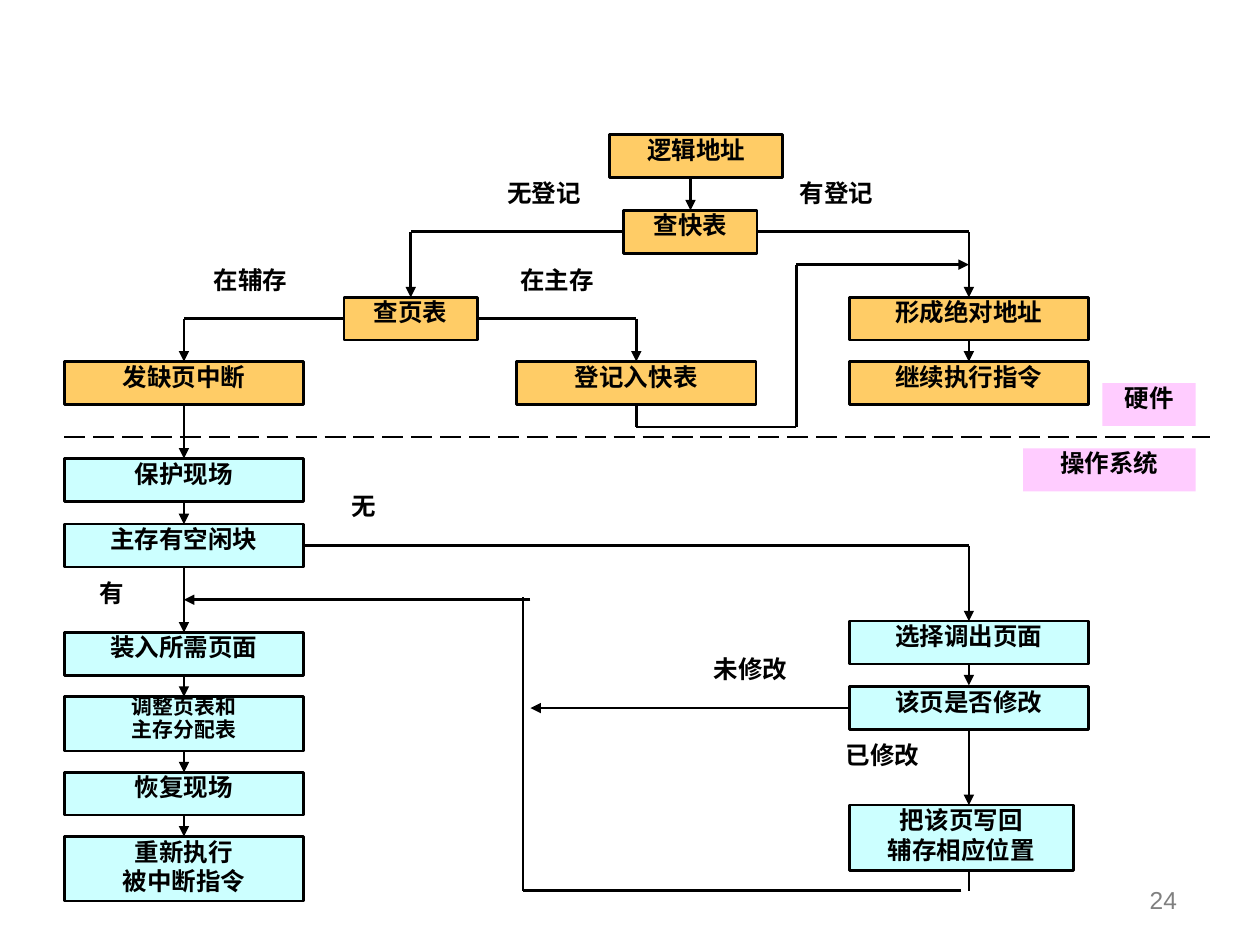
from itertools import pairwise
from pptx import Presentation
from pptx.dml.color import RGBColor
from pptx.enum.dml import MSO_LINE
from pptx.enum.shapes import MSO_CONNECTOR, MSO_SHAPE
from pptx.enum.text import MSO_ANCHOR, PP_ALIGN
from pptx.oxml.ns import qn
from pptx.util import Inches, Pt
from lxml.etree import SubElement

COLORS = {"hardware": "FFCC66", "system": "CCFFFF", "tag": "FFCCFF",
          "ink": "000000", "number": "808080"}
CJK = "Noto Sans CJK SC"
ROW = 0.34       # height of a one-line box
WIDE = 1.9       # width of a standard box
LEFT, MIDDLE, RIGHT = 0.51, 4.1, 6.74       # left edges of the box columns
LEFT_AXIS, PAGE_AXIS, LOAD_AXIS = 1.46, 3.26, 5.05
LOOKUP_AXIS, RIGHT_AXIS = 5.48, 7.69
RETURN_X, RETURN_Y = 4.15, 7.07             # path back to loading the page

# Boxes: lines of text, kind, left, top, width, height
BOXES = [
    (["逻辑地址"], "hardware", 4.84, 1.07, 1.37, ROW),
    (["查快表"], "hardware", 4.95, 1.67, 1.06, ROW),
    (["查页表"], "hardware", 2.73, 2.36, 1.06, ROW),
    (["形成绝对地址"], "hardware", RIGHT, 2.36, WIDE, ROW),
    (["发缺页中断"], "hardware", LEFT, 2.87, WIDE, ROW),
    (["登记入快表"], "hardware", MIDDLE, 2.87, WIDE, ROW),
    (["继续执行指令"], "hardware", RIGHT, 2.87, WIDE, ROW),
    (["保护现场"], "system", LEFT, 3.64, WIDE, ROW),
    (["主存有空闲块"], "system", LEFT, 4.16, WIDE, ROW),
    (["装入所需页面"], "system", LEFT, 5.02, WIDE, ROW),
    (["调整页表和", "主存分配表"], "system", LEFT, 5.53, WIDE, 0.43),
    (["恢复现场"], "system", LEFT, 6.13, WIDE, ROW),
    (["重新执行", "被中断指令"], "system", LEFT, 6.64, WIDE, 0.51),
    (["选择调出页面"], "system", RIGHT, 4.93, WIDE, ROW),
    (["该页是否修改"], "system", RIGHT, 5.45, WIDE, ROW),
    (["把该页写回", "辅存相应位置"], "system", RIGHT, 6.39, 1.78, 0.52),
    (["硬件"], "tag", 8.75, 3.04, 0.74, ROW),
    (["操作系统"], "tag", 8.12, 3.56, 1.37, ROW),
]
TIGHT_TEXT = "调整页表和"   # this box has smaller, closer lines

# Branch labels: text, left, top, width
LABELS = [
    ("无登记", 3.79, 1.41, 1.06), ("有登记", 6.11, 1.41, 1.06),
    ("在辅存", 1.46, 2.1, 1.06), ("在主存", 3.89, 2.1, 1.06),
    ("无", 2.62, 3.9, 0.53), ("有", 0.62, 4.59, 0.53),
    ("未修改", 5.48, 5.19, 0.95), ("已修改", 6.53, 5.87, 0.95),
]

# Straight arrows down one axis: x, then (from, to) heights
DROPS = [
    (LOOKUP_AXIS, [(1.41, 1.67)]),
    (LEFT_AXIS, [(3.21, 3.64), (3.99, 4.16), (4.5, 5.02), (5.36, 5.53),
                 (5.96, 6.13), (6.47, 6.64)]),
    (RIGHT_AXIS, [(2.7, 2.87), (5.27, 5.44), (5.79, 6.39)]),
]

# Bent routes that end in an arrow
ROUTES = [
    [(4.95, 1.84), (PAGE_AXIS, 1.84), (PAGE_AXIS, 2.36)],
    [(6, 1.84), (RIGHT_AXIS, 1.84), (RIGHT_AXIS, 2.36)],
    [(2.73, 2.53), (LEFT_AXIS, 2.53), (LEFT_AXIS, 2.87)],
    [(3.79, 2.53), (LOAD_AXIS, 2.53), (LOAD_AXIS, 2.87)],
    [(LOAD_AXIS, 3.21), (LOAD_AXIS, 3.39), (6.32, 3.39), (6.32, 2.1),
     (RIGHT_AXIS, 2.1)],
    [(2.41, 4.33), (RIGHT_AXIS, 4.33), (RIGHT_AXIS, 4.93)],
    [(RIGHT, 5.62), (4.21, 5.62)],
    [(4.21, 4.76), (LEFT_AXIS, 4.76)],
]

# Plain lines of the return path
PLAIN_LINES = [
    ((RIGHT_AXIS, 6.9), (RIGHT_AXIS, RETURN_Y)),
    ((7.63, RETURN_Y), (RETURN_X, RETURN_Y)),
    ((RETURN_X, 4.74), (RETURN_X, RETURN_Y)),
]


def color(name):
    return RGBColor.from_string(COLORS[name])


def write(shape, lines, size=14, spacing=None):
    frame = shape.text_frame
    frame.word_wrap = True
    frame.vertical_anchor = MSO_ANCHOR.TOP
    frame.margin_left = frame.margin_right = 0
    frame.margin_top = frame.margin_bottom = 0
    for index, line in enumerate(lines):
        para = frame.add_paragraph() if index else frame.paragraphs[0]
        para.alignment = PP_ALIGN.CENTER
        para.line_spacing = spacing
        span = para.add_run()
        span.text = line
        span.font.size = Pt(size)
        span.font.bold = True
        span.font.name = CJK
        span.font.color.rgb = color("ink")
        SubElement(span.font._element, qn("a:ea"), typeface=CJK)


def add_line(page, start, end, arrow=False):
    line = page.shapes.add_connector(
        MSO_CONNECTOR.STRAIGHT, *map(Inches, (*start, *end)))
    line.line.color.rgb = color("ink")
    line.line.width = Pt(1.5)
    if arrow:
        SubElement(line.line._get_or_add_ln(), qn("a:tailEnd"), type="triangle")
    SubElement(line._element.spPr, qn("a:effectLst"))
    return line


def main():
    deck = Presentation()
    deck.slide_width, deck.slide_height = Inches(10), Inches(7.5)
    page = deck.slides.add_slide(deck.slide_layouts[6])

    # Boxes and tags
    for lines, kind, *place in BOXES:
        box = page.shapes.add_shape(MSO_SHAPE.RECTANGLE, *map(Inches, place))
        box.shadow.inherit = False
        box.fill.solid()
        box.fill.fore_color.rgb = color(kind)
        if kind == "tag":
            box.line.fill.background()
        else:
            box.line.color.rgb = color("ink")
            box.line.width = Pt(1.5)
        if lines[0] == TIGHT_TEXT:
            write(box, lines, 11.9, 0.9)
        else:
            write(box, lines)

    # Branch labels
    for text, *place in LABELS:
        write(page.shapes.add_textbox(*map(Inches, (*place, ROW))), [text])

    # Arrows and lines
    for x, spans in DROPS:
        for top, bottom in spans:
            add_line(page, (x, top), (x, bottom), arrow=True)
    for route in ROUTES:
        for start, end in pairwise(route):
            add_line(page, start, end, arrow=end == route[-1])
    for start, end in PLAIN_LINES:
        add_line(page, start, end)

    # Border between hardware and operating system
    border = add_line(page, (LEFT, 3.47), (9.6, 3.47))
    border.line.dash_style = MSO_LINE.LONG_DASH

    # Page number
    number = page.shapes.add_textbox(*map(Inches, (7.36, 6.81, 2.08, 0.5)))
    number.text_frame.word_wrap = True
    number.text_frame.vertical_anchor = MSO_ANCHOR.BOTTOM
    para = number.text_frame.paragraphs[0]
    para.alignment = PP_ALIGN.RIGHT
    span = para.add_run()
    span.text = "24"
    span.font.size = Pt(14)
    span.font.name = "Arial"
    span.font.color.rgb = color("number")

    deck.save("out.pptx")


if __name__ == "__main__":
    main()
